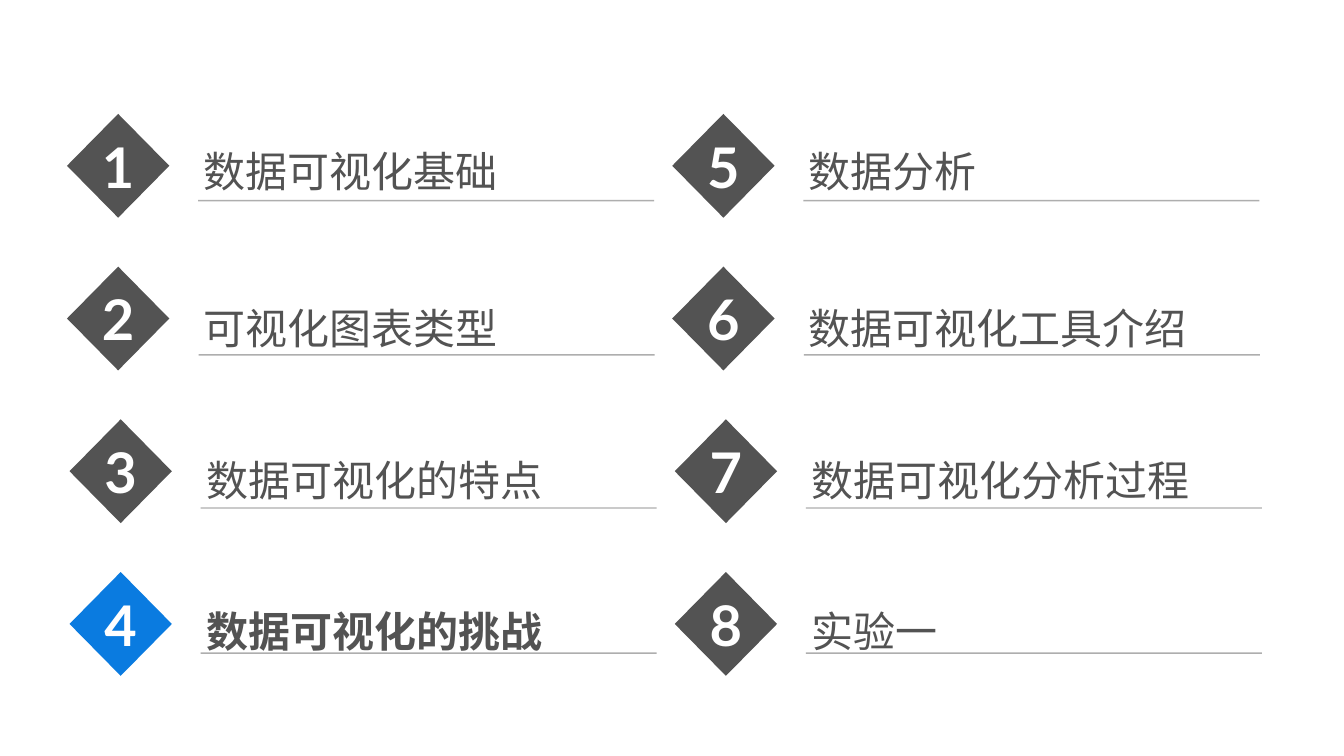
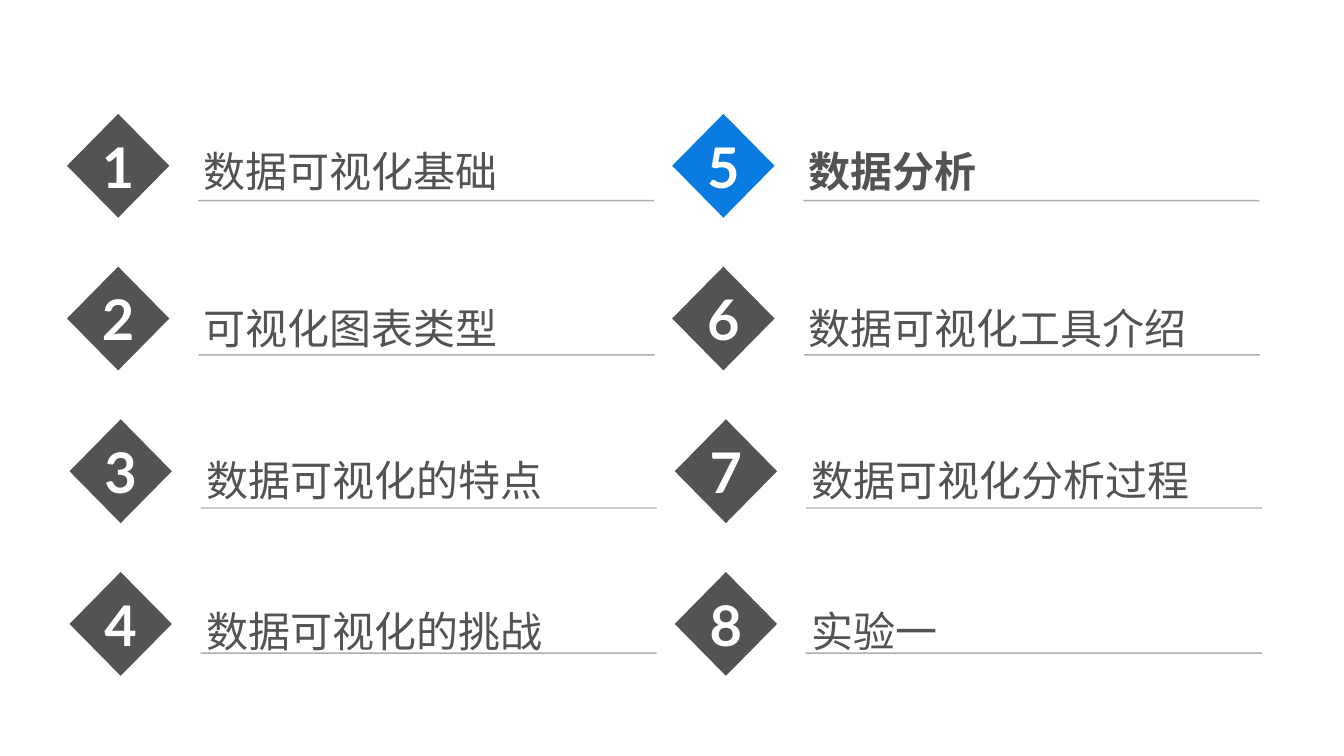
import dataclasses
import typing

import lxml.etree
import pptx
import pptx.dml.color
import pptx.enum.shapes
import pptx.enum.text
import pptx.oxml.ns
import pptx.slide
import pptx.text.text
import pptx.util

Inches = pptx.util.Inches
qn = pptx.oxml.ns.qn


@dataclasses.dataclass(frozen=True)
class Theme:
    ink: str = "535353"
    accent: str = "0A7BE0"
    rule: str = "5E5E5E"
    paper: str = "FFFFFF"
    number_font: str = "Lato"
    title_font: str = "Noto Sans CJK JP"
    number_size: int = 80
    title_size: int = 60
    rule_width: int = 2
    rule_opacity: int = 50


@dataclasses.dataclass(frozen=True)
class AgendaRow:
    left: float
    title_top: float
    rule_left: float
    rule_top: float


THEME = Theme()
CHAPTERS = (
    "数据可视化基础", "可视化图表类型", "数据可视化的特点", "数据可视化的挑战",
    "数据分析", "数据可视化工具介绍", "数据可视化分析过程", "实验一",
)
ROWS = (
    AgendaRow(1.33, 2.79, 3.93, 3.98),
    AgendaRow(1.33, 5.9, 3.94, 7.04),
    AgendaRow(1.38, 8.91, 3.98, 10.08),
    AgendaRow(1.38, 11.91, 3.98, 12.96),
)
COLUMN_STEP = 12.01
DIAMOND_TOP, DIAMOND_STEP = 2.26, 3.03
DIAMOND_WIDTH, DIAMOND_HEIGHT = 2.03, 2.06
TITLE_OFFSET, TITLE_WIDTH, TITLE_HEIGHT = 2.61, 9.26, 1.21
RULE_LENGTH = 9.05
ACTIVE_CHAPTERS = (4, 5)


def color(value: str) -> pptx.dml.color.RGBColor:
    return pptx.dml.color.RGBColor.from_string(value)


def apply_format(target: typing.Any, values: dict[str, typing.Any]) -> None:
    for name, value in values.items():
        setattr(target, name, value)


def write_text(frame: pptx.text.text.TextFrame, text: str, font_name: str, size: int,
               text_color: str, bold: bool, alignment: pptx.enum.text.PP_ALIGN,
               frame_format: dict[str, typing.Any]) -> None:
    margins = {f"margin_{side}": Inches(0.1) for side in ("left", "top", "right", "bottom")}
    apply_format(frame, {"word_wrap": True, **margins, **frame_format})
    paragraph = frame.paragraphs[0]
    paragraph.alignment = alignment
    run = paragraph.add_run()
    run.text = text
    apply_format(run.font, {"name": font_name, "size": pptx.util.Pt(size), "bold": bold})
    run.font.color.rgb = color(text_color)
    east_asian = lxml.etree.SubElement(run.font._element, qn("a:ea"))
    east_asian.set("typeface", font_name)


def add_title(slide: pptx.slide.Slide, text: str, left: float, top: float, active: bool) -> None:
    shape = slide.shapes.add_textbox(
        Inches(left), Inches(top), Inches(TITLE_WIDTH), Inches(TITLE_HEIGHT))
    write_text(shape.text_frame, text, THEME.title_font, THEME.title_size, THEME.ink, active,
               pptx.enum.text.PP_ALIGN.LEFT,
               {"auto_size": pptx.enum.text.MSO_AUTO_SIZE.SHAPE_TO_FIT_TEXT})


def add_number(slide: pptx.slide.Slide, number: int, left: float, top: float,
               active: bool) -> None:
    shape = slide.shapes.add_shape(
        pptx.enum.shapes.MSO_SHAPE.DIAMOND, Inches(left), Inches(top),
        Inches(DIAMOND_WIDTH), Inches(DIAMOND_HEIGHT))
    shape.shadow.inherit = False
    shape.fill.solid()
    shape.fill.fore_color.rgb = color(THEME.accent if active else THEME.ink)
    shape.line.fill.background()
    write_text(shape.text_frame, str(number), THEME.number_font, THEME.number_size,
               THEME.paper, True, pptx.enum.text.PP_ALIGN.CENTER,
               {"vertical_anchor": pptx.enum.text.MSO_ANCHOR.MIDDLE})


def add_rule(slide: pptx.slide.Slide, left: float, top: float) -> None:
    connector = slide.shapes.add_connector(
        pptx.enum.shapes.MSO_CONNECTOR.STRAIGHT, Inches(left), Inches(top),
        Inches(left + RULE_LENGTH), Inches(top))
    connector.line.width = pptx.util.Pt(THEME.rule_width)
    connector.line.color.rgb = color(THEME.rule)
    properties = connector._element.spPr
    line_color = properties.find(".//" + qn("a:srgbClr"))
    lxml.etree.SubElement(line_color, qn("a:alpha")).set("val", str(THEME.rule_opacity * 1000))
    lxml.etree.SubElement(properties, qn("a:effectLst"))


def add_agenda(presentation: typing.Any, active_chapter: int) -> None:
    slide = presentation.slides.add_slide(presentation.slide_layouts[6])
    slide.background.fill.solid()
    slide.background.fill.fore_color.rgb = color(THEME.paper)
    for index, chapter in enumerate(CHAPTERS):
        column, row_index = divmod(index, len(ROWS))
        row = ROWS[row_index]
        shift = column * COLUMN_STEP
        number = index + 1
        active = number == active_chapter
        add_title(slide, chapter, row.left + TITLE_OFFSET + shift, row.title_top, active)
        add_number(slide, number, row.left + shift,
                   DIAMOND_TOP + row_index * DIAMOND_STEP, active)
        add_rule(slide, row.rule_left + shift, row.rule_top)


def main() -> None:
    presentation = pptx.Presentation()
    apply_format(presentation, {"slide_width": Inches(26.67), "slide_height": Inches(15)})
    for active_chapter in ACTIVE_CHAPTERS:
        add_agenda(presentation, active_chapter)
    presentation.save("out.pptx")


if __name__ == "__main__":
    main()
